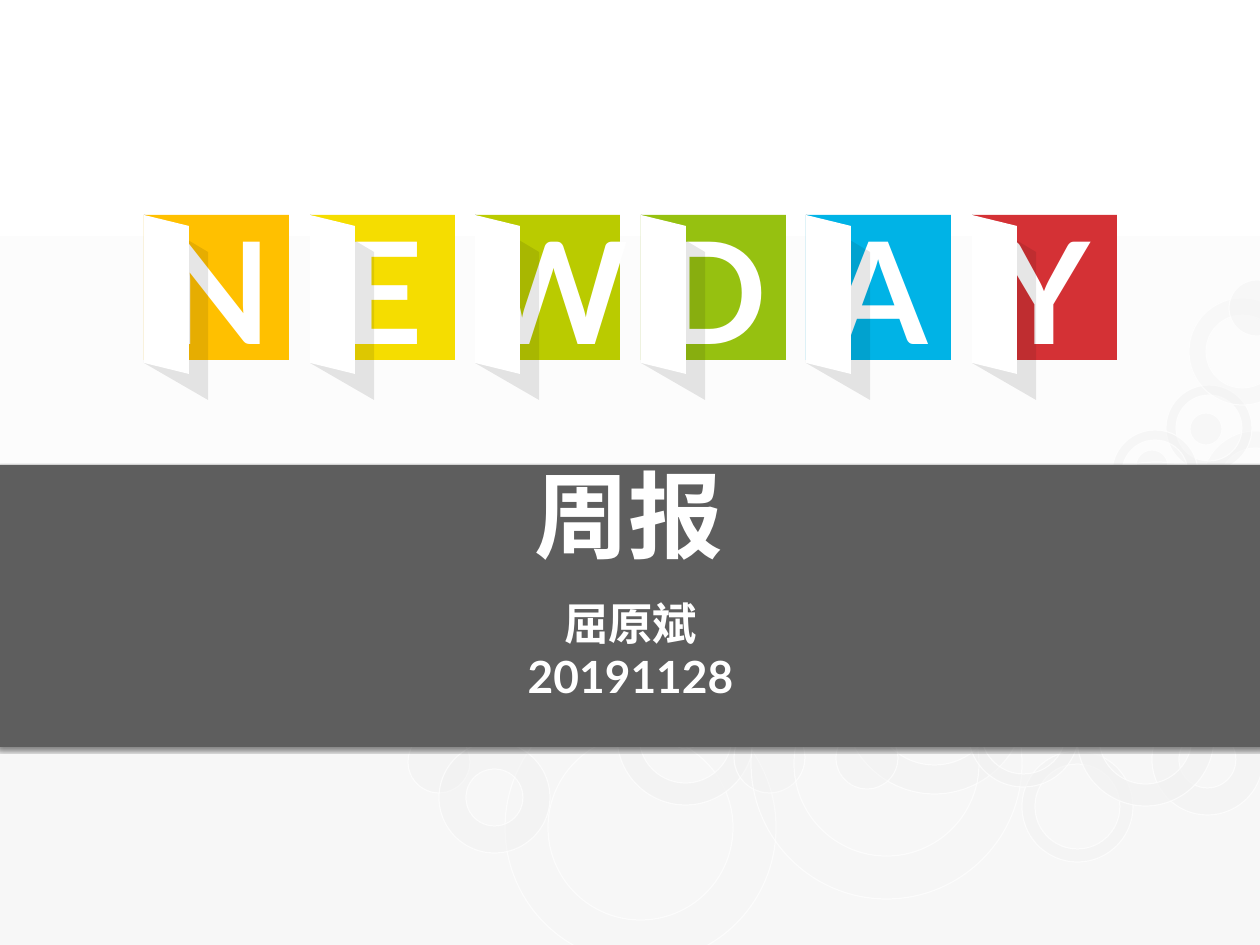
from lxml import etree
from pptx import Presentation
from pptx.dml.color import RGBColor
from pptx.enum.shapes import MSO_SHAPE
from pptx.enum.text import MSO_ANCHOR, MSO_AUTO_SIZE, PP_ALIGN
from pptx.oxml.ns import qn
from pptx.util import Pt

PX = 10320  # EMU per pixel
WIDTH, HEIGHT = 1260, 945
FONT = "Lato"
COLORS = {
    "white": "FFFFFF", "mist": "F7F7F7", "circle": "F2F2F2",
    "band": "5E5E5E", "shade": "0D0D0D", "black": "000000",
    "N": "FFC000", "E": "F5DD00", "W": "BACB00",
    "D": "96C110", "A": "00B3E6", "Y": "D43135",
}

# left, top, diameter, ring thickness (0 = full disc), opacity in percent
CIRCLES = [
    (1202, 431, 107, 17, 31), (505, 692, 271, 43, 13), (1022, 751, 111, 13, 54),
    (1166, 385, 86, 10, 54), (1136, 450, 32, 0, 47), (843, 611, 183, 29, 42),
    (617, 668, 137, 22, 75), (734, 722, 71, 0, 39), (751, 628, 271, 43, 13),
    (968, 676, 111, 13, 54), (1152, 704, 111, 27, 54), (408, 731, 62, 0, 47),
    (670, 717, 32, 0, 47), (1077, 669, 137, 22, 75), (1189, 298, 107, 17, 31),
    (1229, 280, 56, 0, 47), (1021, 462, 271, 43, 13), (1112, 430, 86, 10, 54),
    (439, 742, 111, 27, 54), (1190, 413, 32, 0, 47), (836, 727, 62, 0, 47),
]

# Letter tiles: each has a square, a cast shadow and an open door
TILE_LEFT, TILE_TOP, TILE_SIZE, TILE_PITCH = 144, 215, 145, 165.6
CAST_SHADOW = [(0, 214), (64, 252), (64, 400), (0, 363)]
DOOR = [(0, 215), (45, 226), (45, 374), (0, 363)]


def rgb(name):
    return RGBColor.from_string(COLORS[name])


def px(*lengths):
    return [length * PX for length in lengths]


def set_alpha(shape, path, percent):
    color = shape._element.spPr.find(path + "/" + qn("a:srgbClr"))
    etree.SubElement(color, qn("a:alpha"), val=str(percent * 1000))


def paint(shape, color, opacity=100):
    shape.shadow.inherit = False
    shape.fill.solid()
    shape.fill.fore_color.rgb = rgb(color)
    shape.line.fill.background()
    if opacity < 100:
        set_alpha(shape, qn("a:solidFill"), opacity)


def add_preset(slide, kind, box, color, opacity=100):
    shape = slide.shapes.add_shape(kind, *px(*box))
    paint(shape, color, opacity)
    return shape


def add_polygon(slide, left, points, color, opacity=100):
    corners = [(left + x, y) for x, y in points]
    builder = slide.shapes.build_freeform(*corners[0], scale=PX)
    builder.add_line_segments(corners[1:], close=True)
    paint(builder.convert_to_shape(), color, opacity)


def add_circle(slide, left, top, size, thickness, opacity):
    kind = MSO_SHAPE.DONUT if thickness else MSO_SHAPE.OVAL
    circle = add_preset(slide, kind, (left, top, size, size), "circle", opacity)
    if thickness:
        circle.adjustments[0] = thickness / size
    circle.line.color.rgb = rgb("white")
    circle.line.width = Pt(1)
    set_alpha(circle, qn("a:ln") + "/" + qn("a:solidFill"), 70)


def write(shape, box, lines, size, anchor=MSO_ANCHOR.TOP, spacing=None):
    shape.left, shape.top, shape.width, shape.height = px(*box)
    frame = shape.text_frame
    frame.text = "\n".join(lines)
    frame.word_wrap = True
    frame.auto_size = MSO_AUTO_SIZE.NONE
    frame.vertical_anchor = anchor
    frame.margin_left = frame.margin_right = Pt(3.6)
    frame.margin_top = frame.margin_bottom = Pt(3.6)
    for paragraph in frame.paragraphs:
        paragraph.alignment = PP_ALIGN.CENTER
        paragraph.space_before = Pt(0)
        if spacing:
            paragraph.line_spacing = Pt(spacing)
        font = paragraph.runs[0].font
        font.name, font.size, font.bold = FONT, Pt(size), True
        font.color.rgb = rgb("white")


def add_band(slide):
    band = add_preset(slide, MSO_SHAPE.RECTANGLE, (-3, 465, 1265, 282), "band")
    effects = band._element.spPr.find(qn("a:effectLst"))
    shadow = etree.SubElement(effects, qn("a:outerShdw"), blurRad=str(Pt(3)),
                              dist=str(Pt(2)), dir="5400000", rotWithShape="0")
    color = etree.SubElement(shadow, qn("a:srgbClr"), val=COLORS["black"])
    etree.SubElement(color, qn("a:alpha"), val="48000")


def add_tile(slide, left, letter):
    add_preset(slide, MSO_SHAPE.RECTANGLE,
               (left, TILE_TOP, TILE_SIZE, TILE_SIZE), letter)
    box = (left, TILE_TOP - 17, TILE_SIZE, TILE_SIZE + 34)
    write(slide.shapes.add_textbox(*px(*box)), box, [letter], 115, MSO_ANCHOR.MIDDLE)
    add_polygon(slide, left, CAST_SHADOW, "shade", 10)
    add_polygon(slide, left, DOOR, "white")


def set_background(slide):
    fill = slide.background.fill
    fill.gradient()
    fill.gradient_angle = 270
    for stop, color in zip(fill.gradient_stops, ("white", "mist")):
        stop.color.rgb = rgb(color)


def main():
    prs = Presentation()
    prs.slide_width, prs.slide_height = px(WIDTH, HEIGHT)
    slide = prs.slides.add_slide(prs.slide_layouts[0])

    # Backdrop
    set_background(slide)
    for circle in CIRCLES:
        add_circle(slide, *circle)

    # Title band, with the placeholders raised above it
    add_band(slide)
    title, subtitle = slide.placeholders
    for placeholder in (title, subtitle):
        slide.shapes._spTree.append(placeholder._element)
    write(title, (361, 474, 536, 95), ["周报"], 77, spacing=75)
    write(subtitle, (486, 592, 289, 145), ["屈原斌", "20191128"], 36)

    # Letter tiles
    for i, letter in enumerate("NEWDAY"):
        add_tile(slide, TILE_LEFT + round(i * TILE_PITCH), letter)

    prs.save("out.pptx")


main()
